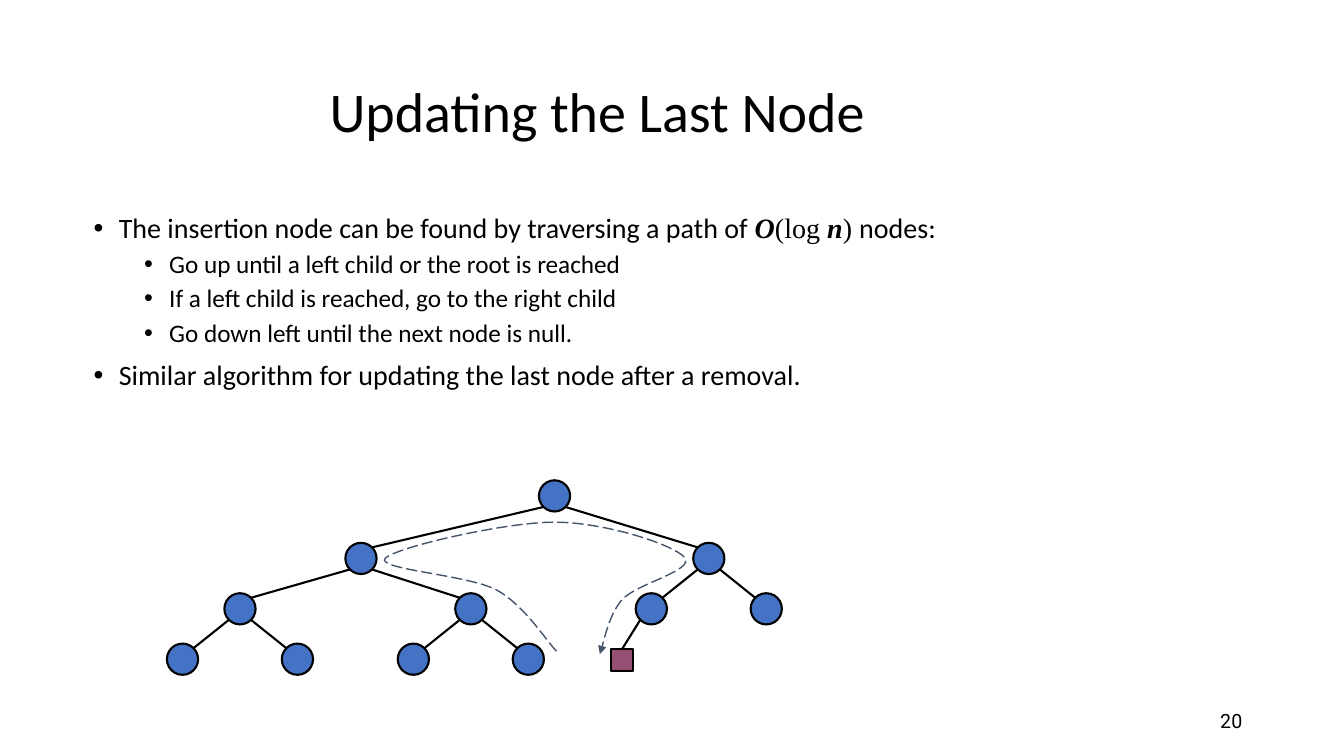
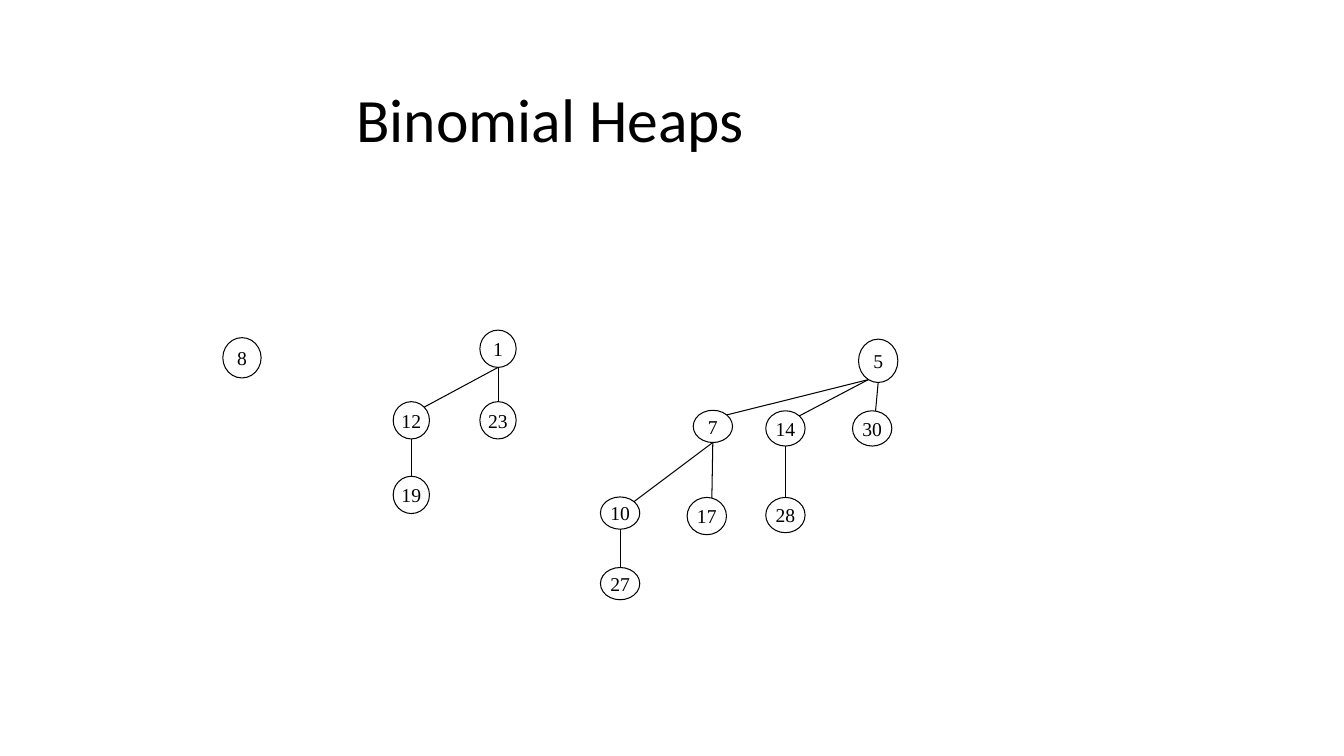
from dataclasses import dataclass
from math import cos, radians, sin
from typing import Optional

from lxml.etree import SubElement
from pptx import Presentation
from pptx.dml.color import RGBColor
from pptx.enum.dml import MSO_LINE_DASH_STYLE as Dash
from pptx.enum.shapes import MSO_CONNECTOR as Connector, MSO_SHAPE as Preset
from pptx.enum.text import MSO_ANCHOR as Anchor, PP_ALIGN as Align
from pptx.oxml.ns import qn
from pptx.slide import Slide
from pptx.text.text import Font
from pptx.util import Inches, Pt

BLACK = RGBColor(0x00, 0x00, 0x00)
WHITE = RGBColor(0xFF, 0xFF, 0xFF)
BLUE = RGBColor(0x44, 0x72, 0xC4)
PLUM = RGBColor(0x95, 0x4F, 0x72)
SLATE = RGBColor(0x44, 0x54, 0x6A)

SANS, SERIF, NUMBER_FONT = "Calibri", "Times New Roman", "Roboto"
BULLET_FONT = "Arial"

# Rim angles in degrees, clockwise from the right
LOWER_RIGHT, BOTTOM, LOWER_LEFT = 45, 90, 135
UPPER_LEFT, TOP, UPPER_RIGHT = 225, 270, 315


@dataclass(frozen=True)
class Node:
    """A tree node, placed by its centre, with the rim angles of its edge."""
    x: float
    y: float
    width: float
    height: float
    label: str = ""
    parent: Optional["Node"] = None
    leave: int = BOTTOM
    arrive: int = TOP
    preset: Preset = Preset.OVAL
    fill: Optional[RGBColor] = None

    def rim(self, angle: int) -> tuple[float, float]:
        turn = radians(angle)
        return (self.x + self.width / 2 * cos(turn),
                self.y + self.height / 2 * sin(turn))


@dataclass(frozen=True)
class Bullet:
    runs: list[tuple[str, str, bool]]  # text, font name, bold italic
    level: int = 0


# Shared parts
def style_font(font: Font, name: str, size: int) -> None:
    font.name = name
    font.size = Pt(size)
    font.color.rgb = BLACK


def add_text_box(slide: Slide, left: float, top: float, width: float,
                 height: float, anchor: Anchor = Anchor.MIDDLE):
    box = slide.shapes.add_textbox(Inches(left), Inches(top),
                                   Inches(width), Inches(height))
    frame = box.text_frame
    frame.word_wrap = True
    frame.vertical_anchor = anchor
    return frame


def add_line_of_text(slide: Slide, text: str, area: tuple[float, ...],
                     align: Align, name: str, size: int,
                     spacing: float = 1.0) -> None:
    paragraph = add_text_box(slide, *area).paragraphs[0]
    paragraph.text = text
    paragraph.alignment = align
    paragraph.line_spacing = spacing
    style_font(paragraph.font, name, size)


def add_title(slide: Slide, text: str, area: tuple[float, ...],
              align: Align, size: int) -> None:
    add_line_of_text(slide, text, area, align, SANS, size, 0.9)


def add_bullets(slide: Slide, bullets: list[Bullet],
                area: tuple[float, ...]) -> None:
    frame = add_text_box(slide, *area, Anchor.TOP)
    for index, bullet in enumerate(bullets):
        paragraph = frame.add_paragraph() if index else frame.paragraphs[0]
        paragraph.level = bullet.level
        properties = paragraph._p.get_or_add_pPr()
        properties.set("marL", str(Inches(0.25 + 0.5 * bullet.level)))
        properties.set("indent", str(Inches(-0.25)))
        SubElement(properties, qn("a:buFont")).set("typeface", BULLET_FONT)
        SubElement(properties, qn("a:buChar")).set("char", "•")
        paragraph.line_spacing = 0.9
        if index:
            paragraph.space_before = Pt(5 if bullet.level else 10)
        style_font(paragraph.font, SANS, 18 if bullet.level else 20)
        for text, name, emphasis in bullet.runs:
            run = paragraph.add_run()
            run.text = text
            if name != SANS:
                run.font.name = name
            if emphasis:
                run.font.bold = run.font.italic = True


def add_edge(slide: Slide, node: Node, weight: float) -> None:
    start, end = node.parent.rim(node.leave), node.rim(node.arrive)
    edge = slide.shapes.add_connector(
        Connector.STRAIGHT, *(Inches(value) for value in (*start, *end)))
    edge.line.color.rgb = BLACK
    edge.line.width = Pt(weight)
    SubElement(edge._element.spPr, qn("a:effectLst"))


def add_node(slide: Slide, node: Node, weight: float) -> None:
    shape = slide.shapes.add_shape(
        node.preset, Inches(node.x - node.width / 2),
        Inches(node.y - node.height / 2),
        Inches(node.width), Inches(node.height))
    shape.shadow.inherit = False
    if node.fill is None:
        shape.fill.background()
    else:
        shape.fill.solid()
        shape.fill.fore_color.rgb = node.fill
    shape.line.color.rgb = BLACK
    shape.line.width = Pt(weight)
    if node.label:
        frame = shape.text_frame
        frame.word_wrap = False
        frame.vertical_anchor = Anchor.MIDDLE
        frame.margin_left = frame.margin_right = 0
        frame.margin_top = frame.margin_bottom = 0
        paragraph = frame.paragraphs[0]
        paragraph.text = node.label
        paragraph.alignment = Align.CENTER
        style_font(paragraph.font, SERIF, 14)


def add_tree(slide: Slide, nodes: list[Node], weight: float) -> None:
    for node in nodes:
        if node.parent:
            add_edge(slide, node, weight)
    for node in nodes:
        add_node(slide, node, weight)


def add_dashed_path(slide: Slide, start: tuple[float, float],
                    curves: list[tuple[float, ...]], steps: int = 16) -> None:
    """Trace cubic curves (two controls and an end each) as one outline."""
    points = [start]
    for x1, y1, x2, y2, x3, y3 in curves:
        x0, y0 = points[-1]
        for step in range(1, steps + 1):
            t = step / steps
            u = 1 - t
            weights = (u**3, 3 * u * u * t, 3 * u * t * t, t**3)
            points.append((
                sum(w * x for w, x in zip(weights, (x0, x1, x2, x3))),
                sum(w * y for w, y in zip(weights, (y0, y1, y2, y3)))))
    # The builder rounds to whole units, so it is given EMU lengths
    first, *rest = [(Inches(x), Inches(y)) for x, y in points]
    builder = slide.shapes.build_freeform(*first)
    builder.add_line_segments(rest, close=False)
    path = builder.convert_to_shape()
    path.shadow.inherit = False
    path.fill.background()
    path.line.color.rgb = SLATE
    path.line.width = Pt(1)
    path.line.dash_style = Dash.LONG_DASH
    SubElement(path.line._get_or_add_ln(), qn("a:tailEnd")).set(
        "type", "triangle")


# Slide: updating the last node
def build_last_node(slide: Slide) -> None:
    add_line_of_text(slide, "20", (9.42, 6.95, 3, 0.4), Align.RIGHT,
                     NUMBER_FONT, 14)
    add_title(slide, "Updating the Last Node", (3.17, 0.67, 6.49, 0.93),
              Align.LEFT, 40)
    add_bullets(slide, [
        Bullet([("The insertion node can be found by traversing a path of ",
                 SANS, False), ("O", SERIF, True), ("(log ", SERIF, False),
                ("n", SERIF, True), (") ", SERIF, False),
                ("nodes:", SANS, False)]),
        Bullet([("Go up until a left child or the root is reached",
                 SANS, False)], 1),
        Bullet([("If a left child is reached, go to the right child",
                 SANS, False)], 1),
        Bullet([("Go down left until the next node is null.",
                 SANS, False)], 1),
        Bullet([("Similar algorithm for updating the last node after "
                 "a removal.", SANS, False)]),
    ], (0.83, 2.08, 8.58, 2.5))

    size, leaf_gap = 0.31, 0.57
    row_y = [4.92, 5.54, 6.04, 6.54]

    def child(parent: Node, x: float, row: int) -> Node:
        is_left = x < parent.x
        return Node(x, row_y[row], size, size, parent=parent, fill=BLUE,
                    leave=LOWER_LEFT if is_left else LOWER_RIGHT,
                    arrive=UPPER_RIGHT if is_left else UPPER_LEFT)

    root = Node(5.5, row_y[0], size, size, fill=BLUE)
    left, right = child(root, 3.58, 1), child(root, 7.03, 1)
    inner = [child(left, 2.38, 2), child(left, 4.67, 2)]
    right_pair = [child(right, right.x + side * leaf_gap, 2)
                  for side in (-1, 1)]
    leaves = [child(parent, parent.x + side * leaf_gap, 3)
              for parent in inner for side in (-1, 1)]
    insertion = Node(6.17, 6.55, 0.22, 0.22, parent=right_pair[0],
                     leave=LOWER_LEFT, preset=Preset.RECTANGLE, fill=PLUM)
    add_tree(slide, [root, left, right, *inner, *right_pair, *leaves,
                     insertion], 1.5)

    add_dashed_path(slide, (5.52, 6.46), [
        (5.42, 6.36, 5.2, 6, 4.92, 5.85),
        (4.63, 5.7, 3.73, 5.65, 3.82, 5.54),
        (3.92, 5.43, 5.01, 5.18, 5.5, 5.18),
        (5.99, 5.18, 6.68, 5.4, 6.79, 5.53),
        (6.9, 5.66, 6.31, 5.79, 6.17, 5.95),
        (6.03, 6.11, 5.99, 6.38, 5.95, 6.49),
    ])


# Slide: binomial heaps
def build_binomial_heaps(slide: Slide) -> None:
    add_title(slide, "Binomial Heaps", (1.21, 0.59, 8.5, 1.25),
              Align.CENTER, 44)

    # Heap of one node
    n8 = Node(2.4, 3.55, 0.38, 0.4, "8")

    # Heap of four nodes
    small = (0.36, 0.37)
    n1 = Node(4.94, 3.46, *small, "1")
    n12 = Node(4.08, 4.17, *small, "12", n1, arrive=UPPER_RIGHT)
    n23 = Node(4.94, 4.17, *small, "23", n1)
    n19 = Node(4.08, 4.91, *small, "19", n12)

    # Heap of eight nodes
    wide, flat, fan = 0.39, 0.32, 120
    n5 = Node(8.71, 3.58, wide, 0.43, "5")
    n7 = Node(7.07, 4.23, wide, flat, "7", n5, fan, UPPER_RIGHT)
    n14 = Node(7.79, 4.25, wide, 0.35, "14", n5, fan, UPPER_RIGHT)
    n30 = Node(8.65, 4.25, wide, 0.35, "30", n5, arrive=280)
    n10 = Node(6.15, 5.09, wide, flat, "10", n7, arrive=UPPER_RIGHT)
    n17 = Node(7.01, 5.12, wide, 0.37, "17", n7, arrive=285)
    n28 = Node(7.79, 5.11, wide, 0.35, "28", n14)
    n27 = Node(6.15, 5.79, wide, flat, "27", n10)

    add_tree(slide, [n8, n1, n12, n23, n19, n5, n7, n14, n30, n10, n17,
                     n28, n27], 0.75)


def main() -> None:
    deck = Presentation()
    deck.slide_width, deck.slide_height = Inches(13.33), Inches(7.5)
    for build in (build_last_node, build_binomial_heaps):
        slide = deck.slides.add_slide(deck.slide_layouts[6])
        slide.background.fill.solid()
        slide.background.fill.fore_color.rgb = WHITE
        build(slide)
    deck.save("out.pptx")


if __name__ == "__main__":
    main()
